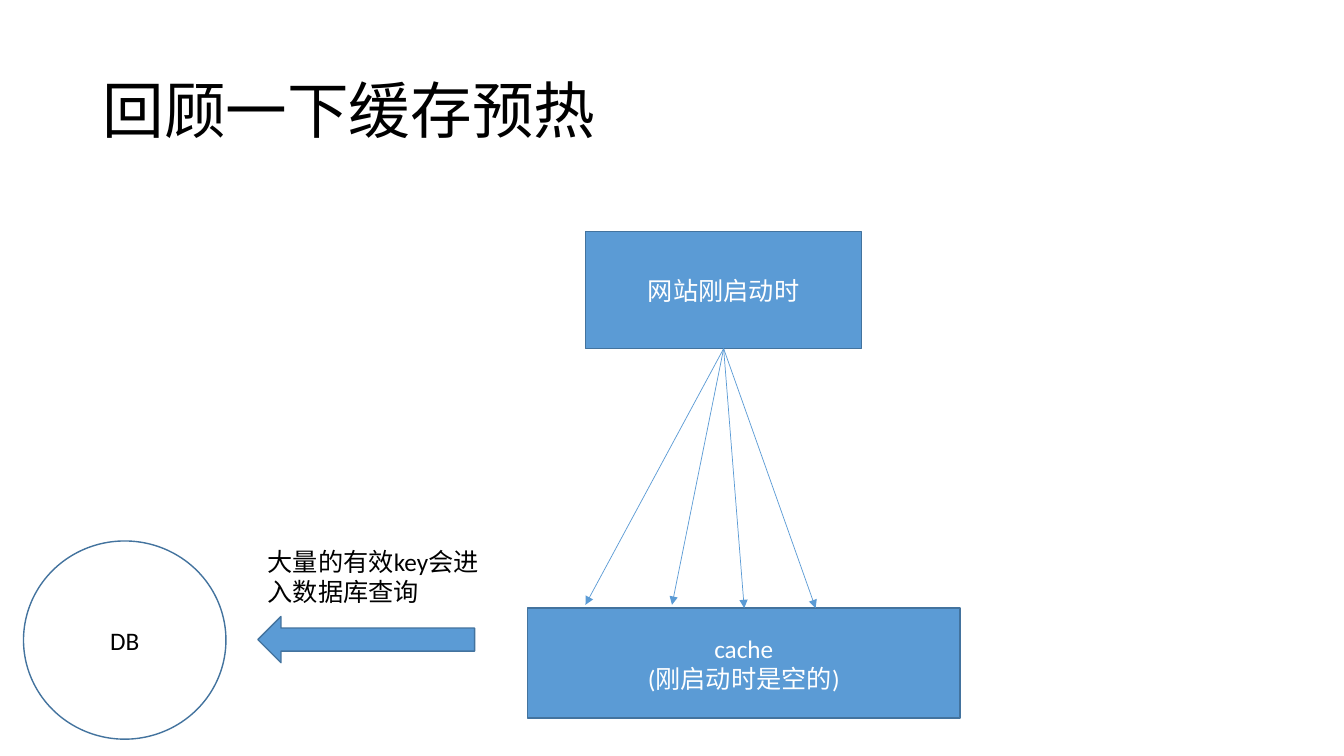
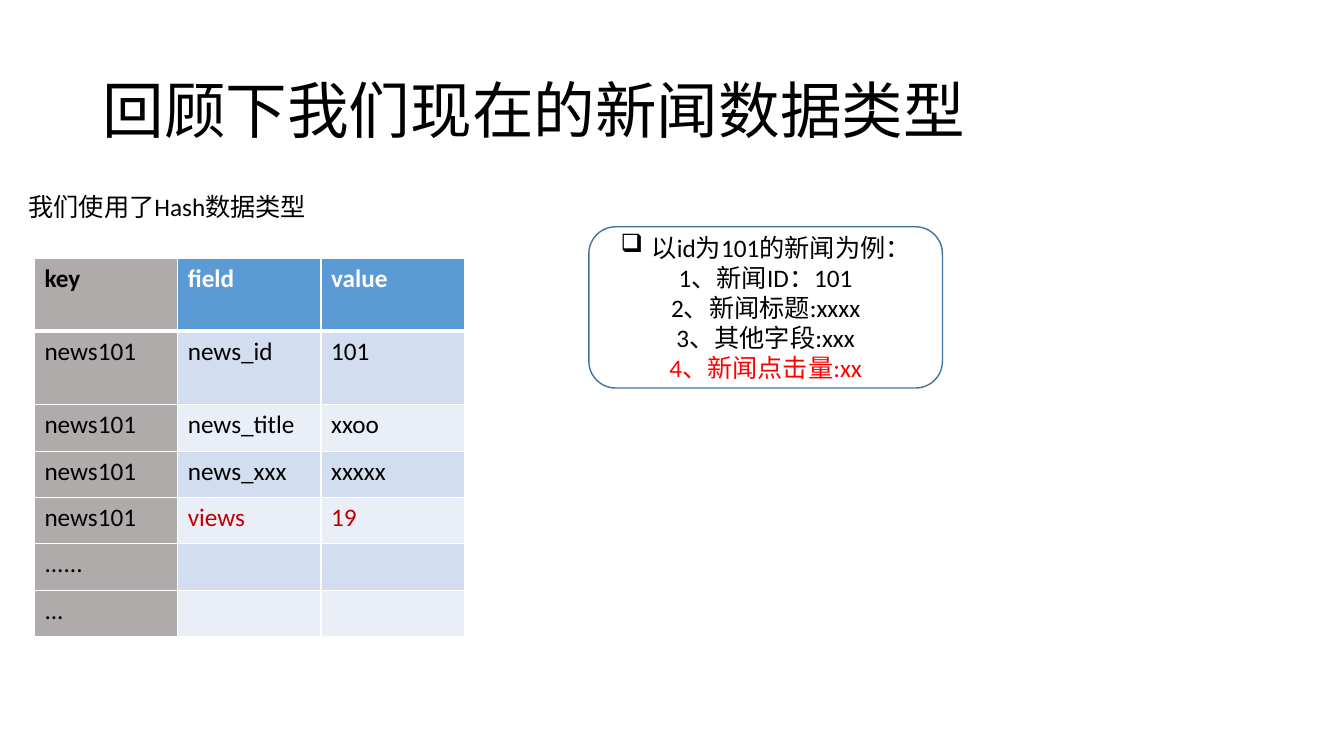
from dataclasses import dataclass
from typing import Optional

import pptx
import pptx.dml.color
import pptx.enum.shapes
import pptx.enum.text
import pptx.oxml.ns
import pptx.shapes.autoshape
import pptx.slide
import pptx.text.text
import pptx.util
from lxml import etree

RGBColor = pptx.dml.color.RGBColor
MSO_SHAPE = pptx.enum.shapes.MSO_SHAPE
PP_ALIGN = pptx.enum.text.PP_ALIGN
MSO_ANCHOR = pptx.enum.text.MSO_ANCHOR

# Shared colours and type
BLACK = RGBColor(0x00, 0x00, 0x00)
WHITE = RGBColor(0xFF, 0xFF, 0xFF)
BLUE = RGBColor(0x5B, 0x9B, 0xD5)
OUTLINE = RGBColor(0x43, 0x73, 0x9E)
GREY = RGBColor(0xAF, 0xAB, 0xAB)
BAND_DARK = RGBColor(0xD2, 0xDE, 0xEF)
BAND_LIGHT = RGBColor(0xEA, 0xEF, 0xF7)
RED = RGBColor(0xFF, 0x00, 0x00)
DARK_RED = RGBColor(0xC0, 0x00, 0x00)
FONT = "Calibri"
BODY_SIZE = 18
TITLE_SIZE = 44

# Slide grid: 80 columns by 45 rows
SLIDE_WIDTH = pptx.util.Inches(13.33)
SLIDE_HEIGHT = pptx.util.Inches(7.5)
COLUMNS, ROWS = 80, 45


def col(count: float) -> int:
    return round(SLIDE_WIDTH * count / COLUMNS)


def row(count: float) -> int:
    return round(SLIDE_HEIGHT * count / ROWS)


@dataclass(frozen=True)
class Area:
    left: float
    top: float
    width: float
    height: float

    @property
    def emu(self) -> tuple[int, int, int, int]:
        return col(self.left), row(self.top), col(self.width), row(self.height)


@dataclass(frozen=True)
class Line:
    text: str
    color: Optional[RGBColor] = None
    bullet: str = ""


@dataclass(frozen=True)
class Node:
    kind: MSO_SHAPE
    area: Area
    lines: tuple[Line, ...] = ()
    fill: RGBColor = BLUE
    color: RGBColor = WHITE


TITLE_AREA = Area(5.5, 2.4, 69, 8.7)


def add_xml(parent: etree.Element, tag: str, **attributes: str) -> etree.Element:
    return etree.SubElement(parent, pptx.oxml.ns.qn(tag), **attributes)


def write(frame: pptx.text.text.TextFrame, *lines: Line, size: float = BODY_SIZE,
          color: RGBColor = BLACK, bold: bool = False,
          align: PP_ALIGN = PP_ALIGN.LEFT, anchor: MSO_ANCHOR = MSO_ANCHOR.TOP,
          spacing: float = 1.0) -> None:
    """Fill a text frame with one paragraph per line."""
    frame.word_wrap = True
    frame.vertical_anchor = anchor
    for index, line in enumerate(lines):
        paragraph = frame.add_paragraph() if index else frame.paragraphs[0]
        paragraph.alignment = align
        paragraph.line_spacing = spacing
        if line.bullet:
            properties = paragraph._p.get_or_add_pPr()
            indent = pptx.util.Inches(0.31)
            properties.set("marL", str(indent))
            properties.set("indent", str(-indent))
            add_xml(properties, "a:buChar", char=line.bullet)
        run = paragraph.add_run()
        run.text = line.text
        run.font.name = FONT
        run.font.size = pptx.util.Pt(size)
        run.font.bold = bold
        run.font.color.rgb = line.color or color


def add_titled_slide(deck: pptx.presentation.Presentation, title: str) -> pptx.slide.Slide:
    slide = deck.slides.add_slide(deck.slide_layouts.get_by_name("Title Only"))
    heading = slide.shapes.title
    heading.left, heading.top, heading.width, heading.height = TITLE_AREA.emu
    write(heading.text_frame, Line(title), size=TITLE_SIZE,
          anchor=MSO_ANCHOR.MIDDLE, spacing=0.9)
    return slide


def add_node(slide: pptx.slide.Slide, node: Node) -> pptx.shapes.autoshape.Shape:
    shape = slide.shapes.add_shape(node.kind, *node.area.emu)
    shape.shadow.inherit = False
    shape.fill.solid()
    shape.fill.fore_color.rgb = node.fill
    shape.line.color.rgb = OUTLINE
    shape.line.width = pptx.util.Pt(1)
    write(shape.text_frame, *node.lines, color=node.color,
          align=PP_ALIGN.CENTER, anchor=MSO_ANCHOR.MIDDLE)
    return shape


def add_note(slide: pptx.slide.Slide, area: Area, text: str) -> None:
    frame = slide.shapes.add_textbox(*area.emu).text_frame
    write(frame, Line(text))
    frame.auto_size = pptx.enum.text.MSO_AUTO_SIZE.SHAPE_TO_FIT_TEXT


def add_request(slide: pptx.slide.Slide, source: pptx.shapes.autoshape.Shape,
                end_column: float, end_row: float) -> None:
    """Draw an arrow from the bottom centre of a node."""
    arrow = slide.shapes.add_connector(
        pptx.enum.shapes.MSO_CONNECTOR.STRAIGHT,
        source.left + source.width // 2, source.top + source.height,
        col(end_column), row(end_row))
    arrow.line.color.rgb = BLUE
    arrow.line.width = pptx.util.Pt(0.5)
    add_xml(arrow.line._get_or_add_ln(), "a:tailEnd", type="triangle")
    add_xml(arrow._element.spPr, "a:effectLst")


def add_borders(cell: pptx.table._Cell, top: float, bottom: float) -> None:
    properties = cell._tc.get_or_add_tcPr()
    sides = {"a:lnL": 1, "a:lnR": 1, "a:lnT": top, "a:lnB": bottom}
    for index, (tag, width) in enumerate(sides.items()):
        border = add_xml(properties, tag, w=str(pptx.util.Pt(width)))
        add_xml(add_xml(border, "a:solidFill"), "a:srgbClr", val=str(WHITE))
        properties.insert(index, border)


def add_hash_table(slide: pptx.slide.Slide, left: float, top: float, column_width: float,
                   row_heights: list[float], records: list[tuple[str, ...]],
                   highlighted: str) -> None:
    area = Area(left, top, column_width * len(records[0]), sum(row_heights))
    table = slide.shapes.add_table(len(records), len(records[0]), *area.emu).table
    for column in table.columns:
        column.width = col(column_width)
    for r, (record, height) in enumerate(zip(records, row_heights)):
        table.rows[r].height = row(height)
        for c, text in enumerate(record):
            cell = table.cell(r, c)
            header, key = r == 0, c == 0
            band = BLUE if header else BAND_DARK if r % 2 else BAND_LIGHT
            cell.fill.solid()
            cell.fill.fore_color.rgb = GREY if key else band
            add_borders(cell, top=3 if r == 1 else 1, bottom=3 if header else 1)
            color = BLACK
            if not key and header:
                color = WHITE
            elif not key and highlighted in record:
                color = DARK_RED
            if text:
                write(cell.text_frame, Line(text), color=color, bold=header)


deck = pptx.Presentation()
deck.slide_width, deck.slide_height = SLIDE_WIDTH, SLIDE_HEIGHT

# Slide 1: cache warm-up
warmup = add_titled_slide(deck, "回顾一下缓存预热")
add_node(warmup, Node(MSO_SHAPE.RECTANGLE, Area(31.4, 36.2, 25.75, 6.55),
                      (Line("cache"), Line("(刚启动时是空的)"))))
website = add_node(warmup, Node(MSO_SHAPE.RECTANGLE, Area(34.85, 13.8, 16.45, 6.95),
                                (Line("网站刚启动时"),)))
for end_column, end_row in ((40, 36), (44.3, 36.2), (34.85, 36), (48.55, 36.2)):
    add_request(warmup, website, end_column, end_row)
add_node(warmup, Node(MSO_SHAPE.OVAL, Area(1.4, 32.2, 12.05, 11.8),
                      (Line("DB"),), fill=WHITE, color=BLACK))
add_node(warmup, Node(MSO_SHAPE.LEFT_ARROW, Area(15.35, 36.7, 12.9, 2.75)))
add_note(warmup, Area(15.35, 32.2, 14.8, 4.25), "大量的有效key会进入数据库查询")

# Slide 2: news data type
news = add_titled_slide(deck, "回顾下我们现在的新闻数据类型")
add_note(news, Area(1.1, 11.1, 19.2, 2.4), "我们使用了Hash数据类型")
add_node(news, Node(
    MSO_SHAPE.FLOWCHART_ALTERNATE_PROCESS, Area(35.05, 13.5, 21.05, 9.6),
    (Line("以id为101的新闻为例：", bullet="❑"),
     Line("1、新闻ID：101"),
     Line("2、新闻标题:xxxx"),
     Line("3、其他字段:xxx"),
     Line("4、新闻点击量:xx", color=RED)),
    fill=WHITE, color=BLACK))
add_hash_table(
    news, left=2.05, top=15.4, column_width=8.53,
    row_heights=[4.32, 4.38] + [2.76] * 5,
    records=[("key", "field", "value"),
             ("news101", "news_id", "101"),
             ("news101", "news_title", "xxoo"),
             ("news101", "news_xxx", "xxxxx"),
             ("news101", "views", "19"),
             ("......", "", ""),
             ("...", "", "")],
    highlighted="views")

deck.save("out.pptx")
